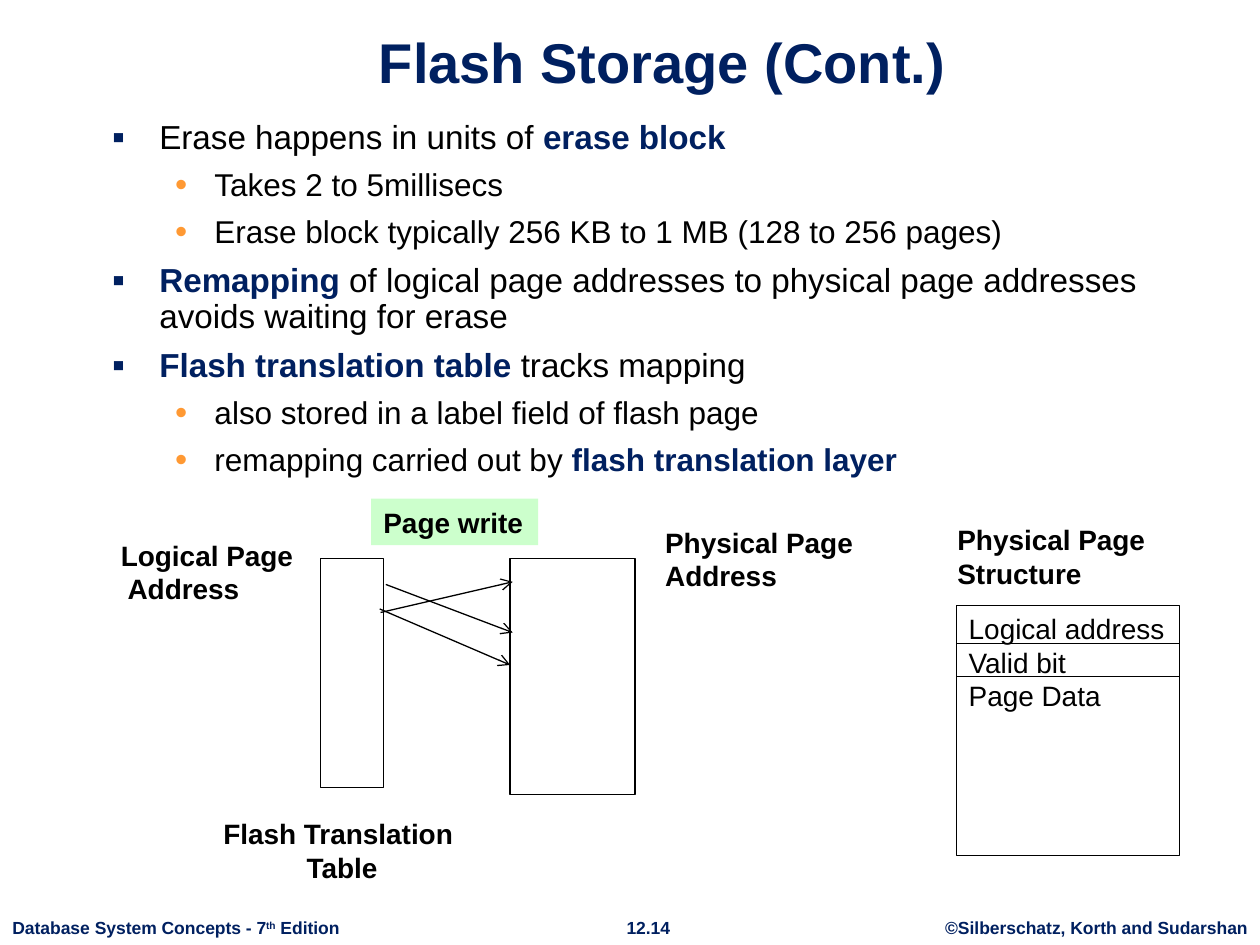
from lxml.etree import SubElement
from pptx import Presentation
from pptx.dml.color import RGBColor
from pptx.enum.shapes import MSO_CONNECTOR, MSO_SHAPE
from pptx.enum.text import MSO_ANCHOR, PP_ALIGN
from pptx.oxml.ns import qn
from pptx.util import Pt

COLORS = {"navy": "002060", "black": "000000", "orange": "FF9933",
          "white": "FFFFFF", "green": "CCFFCC"}
FONT = "Arial"
# level: marker, marker color, left margin, hanging indent, size, space before
LEVELS = [("▪", "navy", 27, 27, 19, 7.65),
          ("•", "orange", 58.5, 22.5, 18, 7.25)]
# level, then spans; spans marked True are key terms
BULLETS = [
    (0, [("Erase happens in units of ", False), ("erase block", True)]),
    (1, [("Takes 2 to 5millisecs", False)]),
    (1, [("Erase block typically 256 KB to 1 MB (128 to 256 pages)", False)]),
    (0, [("Remapping", True),
         (" of logical page addresses to physical page addresses "
          "avoids waiting for erase", False)]),
    (0, [("Flash translation table ", True), ("tracks mapping", False)]),
    (1, [("also stored in a label field of flash page", False)]),
    (1, [("remapping carried out by ", False),
         ("flash translation layer", True)]),
]


def color(name):
    return RGBColor.from_string(COLORS[name])


def style(font, size, tint="black", bold=False):
    font.name, font.size, font.bold = FONT, Pt(size), bold
    font.color.rgb = color(tint)


def write(shape, text, size, tint="black", bold=True, align=PP_ALIGN.LEFT,
          anchor=MSO_ANCHOR.TOP):
    """Fill a shape with unwrapped text in one style."""
    frame = shape.text_frame
    frame.word_wrap = False
    frame.vertical_anchor = anchor
    frame.text = text
    for para in frame.paragraphs:
        para.alignment = align
        style(para.font, size, tint, bold)
    return frame


def add_text(page, box, text, size=16, **look):
    shape = page.shapes.add_textbox(*map(Pt, box))
    return write(shape, text, size, **look)


def add_rect(page, box, fill=None, outlined=True):
    rect = page.shapes.add_shape(MSO_SHAPE.RECTANGLE, *map(Pt, box))
    rect.shadow.inherit = False
    if fill:
        rect.fill.solid()
        rect.fill.fore_color.rgb = color(fill)
    else:
        rect.fill.background()
    if outlined:
        rect.line.color.rgb = color("black")
        rect.line.width = Pt(0.75)
    else:
        rect.line.fill.background()
    return rect


def add_line(page, start, end, arrow=False):
    line = page.shapes.add_connector(MSO_CONNECTOR.STRAIGHT,
                                     *map(Pt, (*start, *end)))
    line.line.color.rgb = color("black")
    line.line.width = Pt(0.75)
    if arrow:
        SubElement(line.line._get_or_add_ln(), qn("a:tailEnd"), type="arrow")
    SubElement(line._element.spPr, qn("a:effectLst"))


def add_marker(para, marker, tint, margin, indent):
    props = para._p.get_or_add_pPr()
    props.set("marL", str(Pt(margin)))
    props.set("indent", str(-Pt(indent)))
    SubElement(SubElement(props, qn("a:buClr")), qn("a:srgbClr"),
               val=COLORS[tint])
    SubElement(props, qn("a:buSzPct"), val="110000")
    SubElement(props, qn("a:buFont"), typeface=FONT)
    SubElement(props, qn("a:buChar"), char=marker)


def add_bullets(page, box):
    frame = page.shapes.add_textbox(*map(Pt, box)).text_frame
    frame.word_wrap = True
    for number, (level, spans) in enumerate(BULLETS):
        marker, tint, margin, indent, size, gap = LEVELS[level]
        para = frame.add_paragraph() if number else frame.paragraphs[0]
        para.level = level
        add_marker(para, marker, tint, margin, indent)
        para.line_spacing = 0.9
        para.space_before = Pt(gap if number else 0)
        style(para.font, size)
        for text, is_term in spans:
            span = para.add_run()
            span.text = text
            if is_term:
                span.font.bold = True
                span.font.color.rgb = color("navy")


def add_mapping(page, box):
    """Translation table, physical pages and the arrows between them."""
    left, top, width, height = box
    add_rect(page, (left + 121, top + 34, 36, 131), "white")
    add_rect(page, (left + 229.5, top + 34, 71.5, 135), "white")
    add_text(page, (left, top + 19, 114.5, 46), "Logical Page\n Address")
    add_text(page, (left + 311, top + 11.5, 123, 46), "Physical Page\nAddress")
    add_text(page, (left + 57.5, top + 178, 147.5, 46),
             "Flash Translation\v Table", align=PP_ALIGN.CENTER)
    for start, end in [((158.5, 49), (231, 76.5)),
                       ((155.5, 65), (231, 47.5)),
                       ((155, 63), (229.5, 95))]:
        add_line(page, (left + start[0], top + start[1]),
                 (left + end[0], top + end[1]), arrow=True)
    write(add_rect(page, (left + 150, top, 95.5, 26.5), "green", False),
          "Page write", 16, anchor=MSO_ANCHOR.MIDDLE)


def add_page_structure(page, box):
    left, top, width, height = box
    add_text(page, (left - 6.5, top - 51, 123, 46), "Physical Page\nStructure")
    write(add_rect(page, box), "Logical address\nValid bit\nPage Data", 16,
          bold=False)
    for offset in (21.75, 40.5):
        add_line(page, (left, top + offset), (left + width, top + offset))


def add_footer(page, box):
    left, top, width, height = box
    look = {"size": 10, "tint": "navy"}
    frame = add_text(page, (left, top, 202.5, height),
                     "Database System Concepts - 7", **look)
    para = frame.paragraphs[0]
    suffix = para.add_run()
    suffix.text = "th"
    suffix.font._element.set("baseline", "30000")
    para.add_run().text = " Edition"
    for offset, span_width, text in [
            (350, 41, "12.14"),
            (533, 187, "©Silberschatz, Korth and Sudarshan")]:
        add_text(page, (left + offset, top, span_width, height), text,
                 align=PP_ALIGN.CENTER, **look)


def main():
    deck = Presentation()
    deck.slide_width, deck.slide_height = Pt(720), Pt(540)
    page = deck.slides.add_slide(deck.slide_layouts[6])
    add_footer(page, (0, 520.5, 720, 19.5))
    add_text(page, (60.5, 9.5, 636, 48), "Flash Storage (Cont.)", 32,
             tint="navy", align=PP_ALIGN.CENTER, anchor=MSO_ANCHOR.BOTTOM)
    add_bullets(page, (57, 65.5, 623.5, 412.5))
    add_mapping(page, (62, 285, 434, 224))
    add_page_structure(page, (546.5, 346, 127.5, 143))
    deck.save("out.pptx")


if __name__ == "__main__":
    main()
